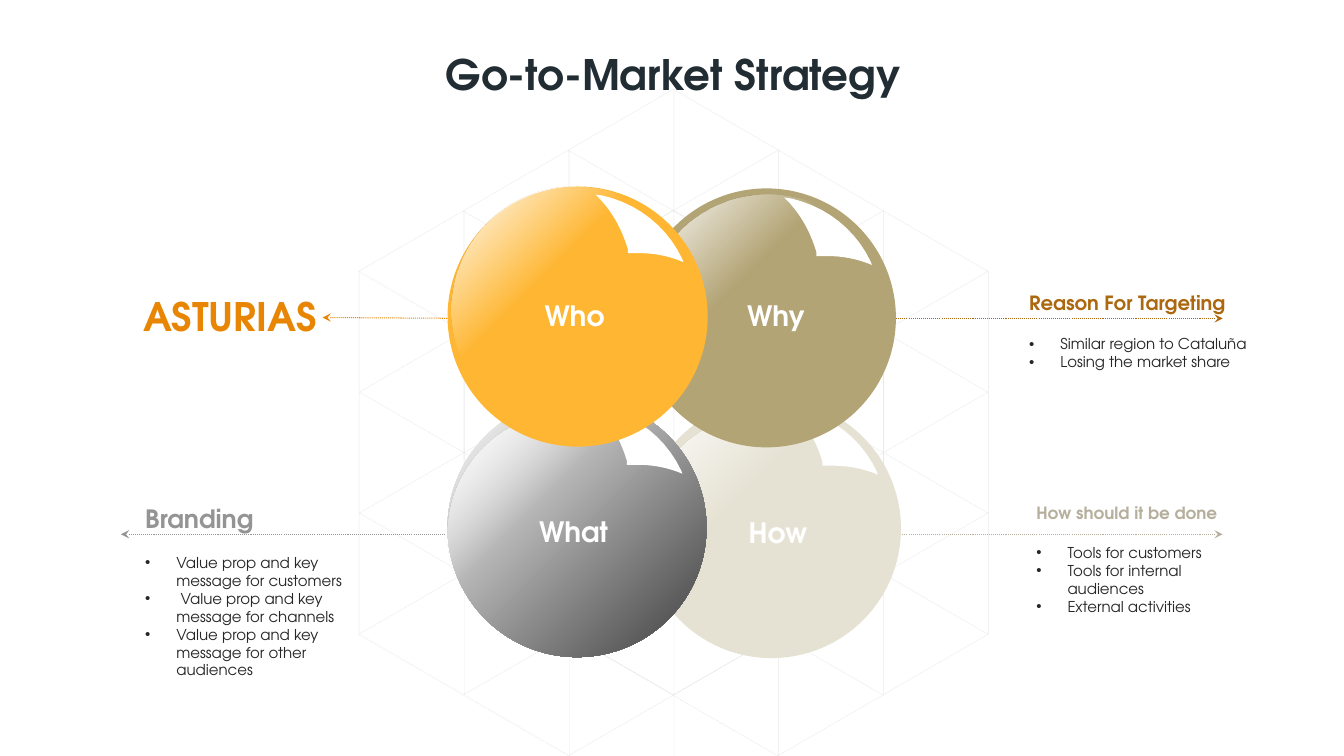
from itertools import product

from lxml import etree
from pptx import Presentation
from pptx.dml.color import RGBColor
from pptx.enum.dml import MSO_LINE
from pptx.enum.shapes import MSO_CONNECTOR, MSO_SHAPE
from pptx.enum.text import MSO_ANCHOR, MSO_AUTO_SIZE, PP_ALIGN
from pptx.oxml import parse_xml
from pptx.oxml.ns import nsdecls, qn
from pptx.util import Pt

ELLIPSE, DIAMOND = MSO_SHAPE.OVAL, MSO_SHAPE.DIAMOND
RHOMB = MSO_SHAPE.PARALLELOGRAM
STRAIGHT = MSO_CONNECTOR.STRAIGHT
DASH, DOTS = MSO_LINE.DASH, MSO_LINE.ROUND_DOT
CENTER, LEFT = PP_ALIGN.CENTER, PP_ALIGN.LEFT
TOP, NO_FIT = MSO_ANCHOR.TOP, MSO_AUTO_SIZE.NONE

FONT = "TeX Gyre Adventor"
WHITE, INK, GRID = "FFFFFF", "262626", "E3E5E6"

# Content
TITLE = "Go-to-Market Strategy"
# heading, size, colour, box (left, top, width, height), bullets
CALLOUTS = [
    ("ASTURIAS", 28, "E88604", (95, 205.2, 177.8, 55.4), []),
    ("Reason For Targeting", 14, "AC680E", (727.9, 204.5, 179.3, 64.8),
     ["Similar region to Cataluña", "Losing the market share"]),
    ("Branding", 18, "949494", (96.5, 355.7, 185, 146.9),
     ["Value prop and key message for customers",
      " Value prop and key message for channels",
      "Value prop and key message for other audiences"]),
    ("How should it be done", 12, "B6AF9D", (733, 355.7, 174.2, 113.8),
     ["Tools for customers", "Tools for internal audiences", "External activities"]),
]
# colour, arrow tip (x, y), end at the ball (x, y)
ARROWS = [
    ("E88604", (230.4, 226.8), (340.6, 227.5)),
    ("949494", (86.4, 381.6), (340.6, 381.6)),
    ("AC680E", (873.4, 227.5), (619.9, 227.5)),
    ("B6AF9D", (873.4, 381.6), (619.9, 381.6)),
]
# Gradient stops: position in %, colour, opacity in %
GLOSS = [(63, WHITE, 0), (100, WHITE, 100)]
STEEL = [(0, "3E3E3E", 100), (100, WHITE, 100)]
# label, its place, fill, ball (left, top, size), gloss (left, top, size), glint
BALLS = [
    ("How", (512.6, 365), "E6E2D3", (458.6, 285.1, 185), (459.4, 294.5, 175.7), (564.5, 290.9)),
    ("What", (366.5, 364.3), STEEL, (319.7, 284.4, 185), (319.7, 293.8, 175.7), (424.8, 290.2)),
    ("Why", (511.2, 209.5), "B3A475", (455, 134.6, 185), (460.8, 139, 175.7), (560.2, 141.1)),
    ("Who", (367.2, 209.5), "FFB733", (319.7, 133.2, 185.8), (322.6, 133.2, 176.4), (425.5, 139)),
]
# Outline of the glint: a point is a line, three points are a Bezier curve
GLINT = [
    [(5, 0.7)],
    [(30.2, 6.5), (51.1, 23), (61.9, 46.1)],
    [(62.6, 48.2)],
    [(52.6, 43.9), (41.8, 41.8), (30.2, 41.8)],
    [(23, 41.8)],
    [(23, 38.9)],
    [(18.7, 24.5), (11.5, 11.5), (1.4, 1.4)],
]
COLUMN, HALF_ROW, ROW = 75, 43.4, 86.4  # lattice steps


def rgb(hex_colour):
    return RGBColor.from_string(hex_colour)


def points(values):
    return [Pt(value) for value in values]


def style(paragraph, size, colour, bold, align=LEFT):
    paragraph.alignment = align
    font = paragraph.font
    font.name, font.size, font.bold = FONT, Pt(size), bold
    font.color.rgb = rgb(colour)


def place(box, left, top, width, height):
    box.left, box.top, box.width, box.height = points((left, top, width, height))
    frame = box.text_frame
    frame.word_wrap, frame.auto_size, frame.vertical_anchor = True, NO_FIT, TOP
    return frame


def bullet(paragraph, char=None):
    props = paragraph._p.get_or_add_pPr()
    indent = Pt(22.3) if char else 0
    props.set("marL", str(indent))
    props.set("indent", str(-indent))
    if char:
        etree.SubElement(props, qn("a:buChar")).set("char", char)
    else:
        etree.SubElement(props, qn("a:buNone"))


def radial_fill(shape, stops):
    """Circular gradient that spreads from the bottom right corner."""
    stop_xml = "".join(
        f'<a:gs pos="{pos * 1000}"><a:srgbClr val="{colour}">'
        f'<a:alpha val="{opacity * 1000}"/></a:srgbClr></a:gs>'
        for pos, colour, opacity in stops)
    shape.fill.background()
    no_fill = shape._element.spPr.find(qn("a:noFill"))
    no_fill.getparent().replace(no_fill, parse_xml(
        f'<a:gradFill {nsdecls("a")} rotWithShape="1"><a:gsLst>{stop_xml}</a:gsLst>'
        '<a:path path="circle"><a:fillToRect l="100000" t="100000"/></a:path></a:gradFill>'))


def paint(shape, fill):
    shape.shadow.inherit = False
    if isinstance(fill, str):
        shape.fill.solid()
        shape.fill.fore_color.rgb = rgb(fill)
    else:
        radial_fill(shape, fill)
    shape.line.fill.background()


def add_tile(kind, left, top, width, height, rotation=0, flip=False):
    tile = shapes.add_shape(kind, *points((left, top, width, height)))
    tile.shadow.inherit = False
    tile.fill.background()
    tile.line.width, tile.line.dash_style = Pt(0.05), DASH
    tile.line.color.rgb = rgb(GRID)
    colour = tile.line._ln.find(".//" + qn("a:srgbClr"))
    etree.SubElement(colour, qn("a:alpha")).set("val", "85000")
    tile.rotation = rotation
    if kind == RHOMB:
        tile.adjustments[0] = 0.58
    if flip:
        tile._element.spPr.xfrm.set("flipH", "1")


def add_glint(left, top):
    builder = shapes.build_freeform(Pt(left), Pt(top), scale=1.0)
    last, outline = (0, 0), []
    for segment in GLINT:
        if len(segment) == 1:
            outline += segment
        else:
            for t in (step / 10 for step in range(1, 11)):
                weights = ((1 - t) ** 3, 3 * t * (1 - t) ** 2, 3 * t * t * (1 - t), t ** 3)
                outline.append(tuple(sum(w * p[axis] for w, p in zip(weights, [last, *segment]))
                                     for axis in (0, 1)))
        last = segment[-1]
    builder.add_line_segments([(Pt(left + x), Pt(top + y)) for x, y in outline], close=True)
    paint(builder.convert_to_shape(), WHITE)


prs = Presentation()
prs.slide_width, prs.slide_height = Pt(960), Pt(540)
slide = prs.slides.add_slide(prs.slide_layouts[4])
shapes = slide.shapes
title, *callout_boxes = slide.placeholders

# Title
frame = place(title, 161.3, 35.3, 639.4, 39.6)
frame.text = TITLE
frame.paragraphs[0].line_spacing = Pt(32)
style(frame.paragraphs[0], 30, "212C33", True, CENTER)

# Callouts
for box, (heading, size, colour, bounds, items) in zip(callout_boxes, CALLOUTS):
    frame = place(box, *bounds)
    frame.text = "\n".join([heading, *items])
    for index, paragraph in enumerate(frame.paragraphs):
        paragraph.space_before = Pt(14.4 if index == 1 else 0)
        bullet(paragraph, "•" if index else None)
        style(paragraph, *((10.7, INK, False) if index else (size, colour, True)))

# Background lattice of cubes
for i, j in product(range(3), repeat=2):
    falling = 221 + HALF_ROW * i + ROW * j
    rising = 350.6 - HALF_ROW * i - ROW * j
    left, right = 229 + COLUMN * i, 603.4 - COLUMN * i
    add_tile(RHOMB, left, falling, 130, 75, 90)
    add_tile(RHOMB, right, falling, 130, 75, 270, True)
    add_tile(RHOMB, right, rising, 130, 75, 270)
    add_tile(RHOMB, left, rising, 130, 75, 90, True)
    for base in (237.6, 496.8):
        add_tile(DIAMOND, 405.8 + COLUMN * (i - j), base - HALF_ROW * (i + j), 150, ROW)

# Arrows
for colour, tip, ball_end in ARROWS:
    arrow = shapes.add_connector(STRAIGHT, *points(tip + ball_end))
    arrow.line.width, arrow.line.dash_style = Pt(0.75), DOTS
    arrow.line.color.rgb = rgb(colour)
    etree.SubElement(arrow.line._ln, qn("a:headEnd")).set("type", "stealth")
    etree.SubElement(arrow._element.spPr, qn("a:effectLst"))

# Balls, each with gloss and glint
for _, _, fill, ball, gloss, glint in BALLS:
    for (left, top, size), paint_with in ((ball, fill), (gloss, GLOSS)):
        paint(shapes.add_shape(ELLIPSE, *points((left, top, size, size))), paint_with)
    add_glint(*glint)

# Ball labels
for label, (left, top), *_ in BALLS:
    frame = place(shapes.add_textbox(0, 0, 0, 0), left, top, 86.4, 31.7)
    frame.text = label
    style(frame.paragraphs[0], 20, WHITE, True, CENTER)

prs.save("out.pptx")
